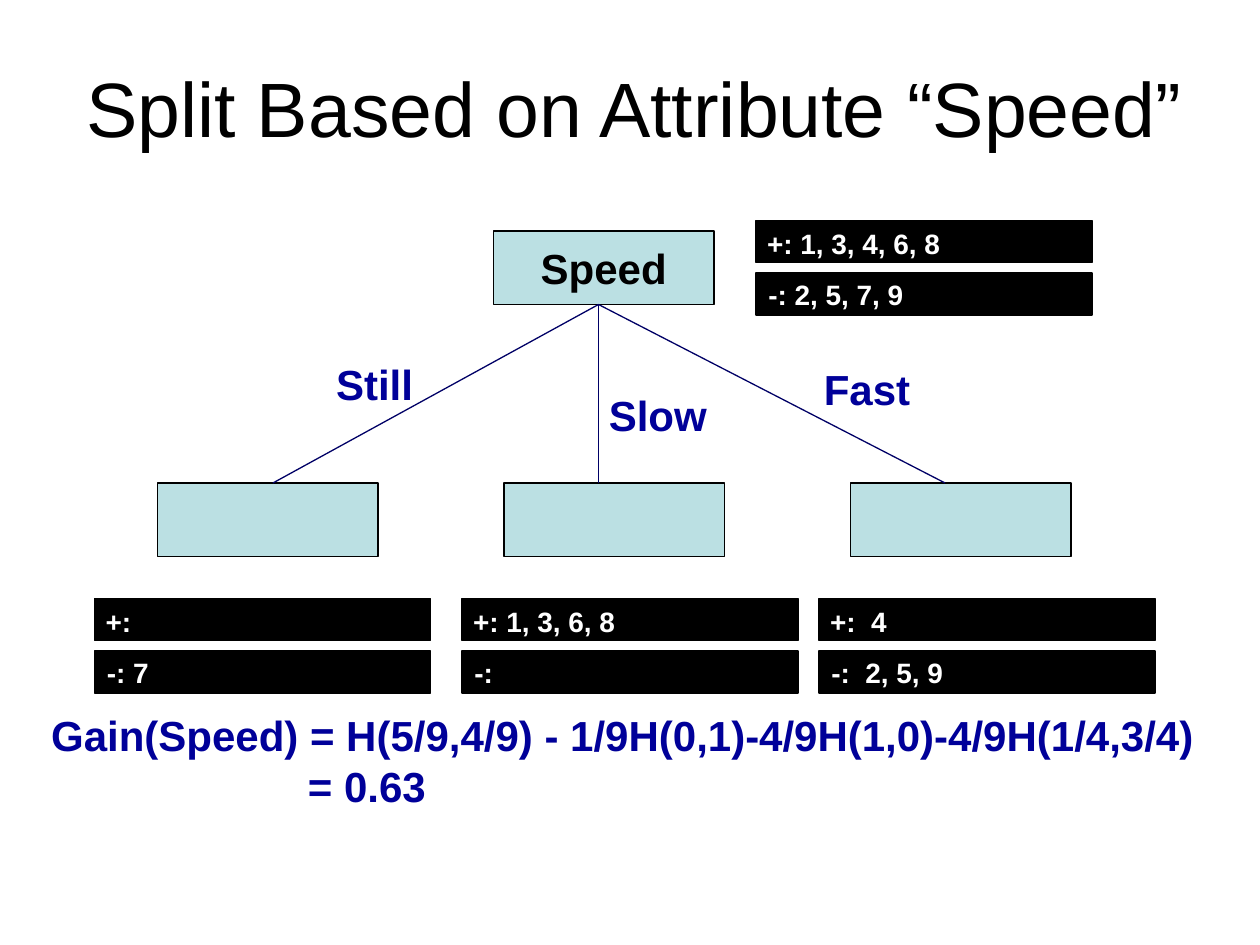
from dataclasses import dataclass

import pptx
import pptx.dml.color
import pptx.enum.shapes
import pptx.enum.text
import pptx.oxml
import pptx.util

Pt = pptx.util.Pt
Align = pptx.enum.text.PP_ALIGN
Anchor = pptx.enum.text.MSO_ANCHOR
AutoSize = pptx.enum.text.MSO_AUTO_SIZE
RECTANGLE = pptx.enum.shapes.MSO_SHAPE.RECTANGLE
STRAIGHT = pptx.enum.shapes.MSO_CONNECTOR.STRAIGHT


@dataclass(frozen=True)
class Theme:
    font: str = "Arial"
    ink: str = "000000"
    accent: str = "000099"
    branch: str = "000066"
    node: str = "BBE0E3"
    strip: str = "000000"
    strip_text: str = "FFFFFF"
    title_size: int = 44
    body_size: int = 24
    strip_size: int = 16
    line_width: float = 0.75


def rgb(value):
    return pptx.dml.color.RGBColor.from_string(value)


def write(frame, text, *, font, size, color, bold=True, align=Align.LEFT,
          anchor=Anchor.TOP, wrap=False, indents=()):
    """Fill a text frame, one paragraph a line; indents are points per line."""
    frame.word_wrap = wrap
    frame.vertical_anchor = anchor
    for number, line in enumerate(text.split("\n")):
        para = frame.add_paragraph() if number else frame.paragraphs[0]
        para.alignment = align
        if number < len(indents):
            para._p.get_or_add_pPr().set("marL", str(Pt(indents[number])))
        span = para.add_run()
        span.text = line
        span.font.name = font
        span.font.size = Pt(size)
        span.font.bold = bold
        span.font.color.rgb = rgb(color)


class Painter:
    def __init__(self, page, theme):
        self.page = page
        self.theme = theme

    def text(self, text, left, top, width, height, grow=True, **style):
        box = self.page.shapes.add_textbox(Pt(left), Pt(top), Pt(width), Pt(height))
        settings = dict(font=self.theme.font, size=self.theme.body_size,
                        color=self.theme.accent)
        write(box.text_frame, text, **{**settings, **style})
        box.text_frame.auto_size = AutoSize.SHAPE_TO_FIT_TEXT if grow else AutoSize.NONE

    def rectangle(self, left, top, width, height, fill, text="", **style):
        box = self.page.shapes.add_shape(RECTANGLE, Pt(left), Pt(top), Pt(width), Pt(height))
        box.shadow.inherit = False
        box.fill.solid()
        box.fill.fore_color.rgb = rgb(fill)
        box.line.color.rgb = rgb(self.theme.ink)
        box.line.width = Pt(self.theme.line_width)
        if text:
            write(box.text_frame, text, font=self.theme.font, anchor=Anchor.MIDDLE, **style)

    def node(self, left, top, text=""):
        self.rectangle(left, top, 126, 42, self.theme.node, text, align=Align.CENTER,
                       size=self.theme.body_size, color=self.theme.ink)

    def branch(self, start, end):
        line = self.page.shapes.add_connector(STRAIGHT, *map(Pt, start + end))
        line.line.color.rgb = rgb(self.theme.branch)
        line.line.width = Pt(self.theme.line_width)
        line._element.spPr.append(pptx.oxml.parse_xml(
            '<a:effectLst xmlns:a="http://schemas.openxmlformats.org/drawingml/2006/main"/>'))

    def examples(self, left, top, positive, negative, label_width):
        """Positive examples strip above the negative one."""
        style = dict(size=self.theme.strip_size, color=self.theme.strip_text)
        self.rectangle(left, top, 192, 24, self.theme.strip)
        self.rectangle(left, top + 30, 192, 24, self.theme.strip, negative, **style)
        self.text(positive, left - 0.7, top, label_width, 26.6, **style)


def main():
    deck = pptx.Presentation()
    deck.slide_width, deck.slide_height = Pt(720), Pt(540)
    page = deck.slides.add_slide(deck.slide_layouts[6])
    theme = Theme()
    painter = Painter(page, theme)

    # Title
    painter.text("Split Based on Attribute “Speed”", 31, 12.2, 663, 98, grow=False,
                 size=theme.title_size, color=theme.ink, bold=False,
                 align=Align.CENTER, anchor=Anchor.MIDDLE, wrap=True)

    # Tree nodes and branches
    painter.node(282, 132, "Speed")
    for column in range(3):
        painter.node(90 + 198 * column, 276)
    for end in (156, 342, 540):
        painter.branch((342, 174), (end, 276))

    # Branch labels, each a little wider than its word
    for text, left, top, width in (("Still", 185, 201.2, 61), ("Slow", 340.8, 219, 73),
                                   ("Fast", 463.7, 204, 67)):
        painter.text(text, left, top, width, 36)

    # Examples at the root and at each leaf
    for left, top, positive, negative, width in (
            (432, 126, "+: 1, 3, 4, 6, 8", "-: 2, 5, 7, 9", 117),
            (54, 342, "+:", "-: 7", 31),
            (264, 342, "+: 1, 3, 6, 8", "-:", 103),
            (468, 342, "+:  4", "-:  2, 5, 9", 49)):
        painter.examples(left, top, positive, negative, width)

    # Information gain
    painter.text("Gain(Speed) = H(5/9,4/9) - 1/9H(0,1)-4/9H(1,0)-4/9H(1/4,3/4)\n= 0.63",
                 22.2, 402, 670, 65, indents=(0, 146.7))

    deck.save("out.pptx")


if __name__ == "__main__":
    main()
